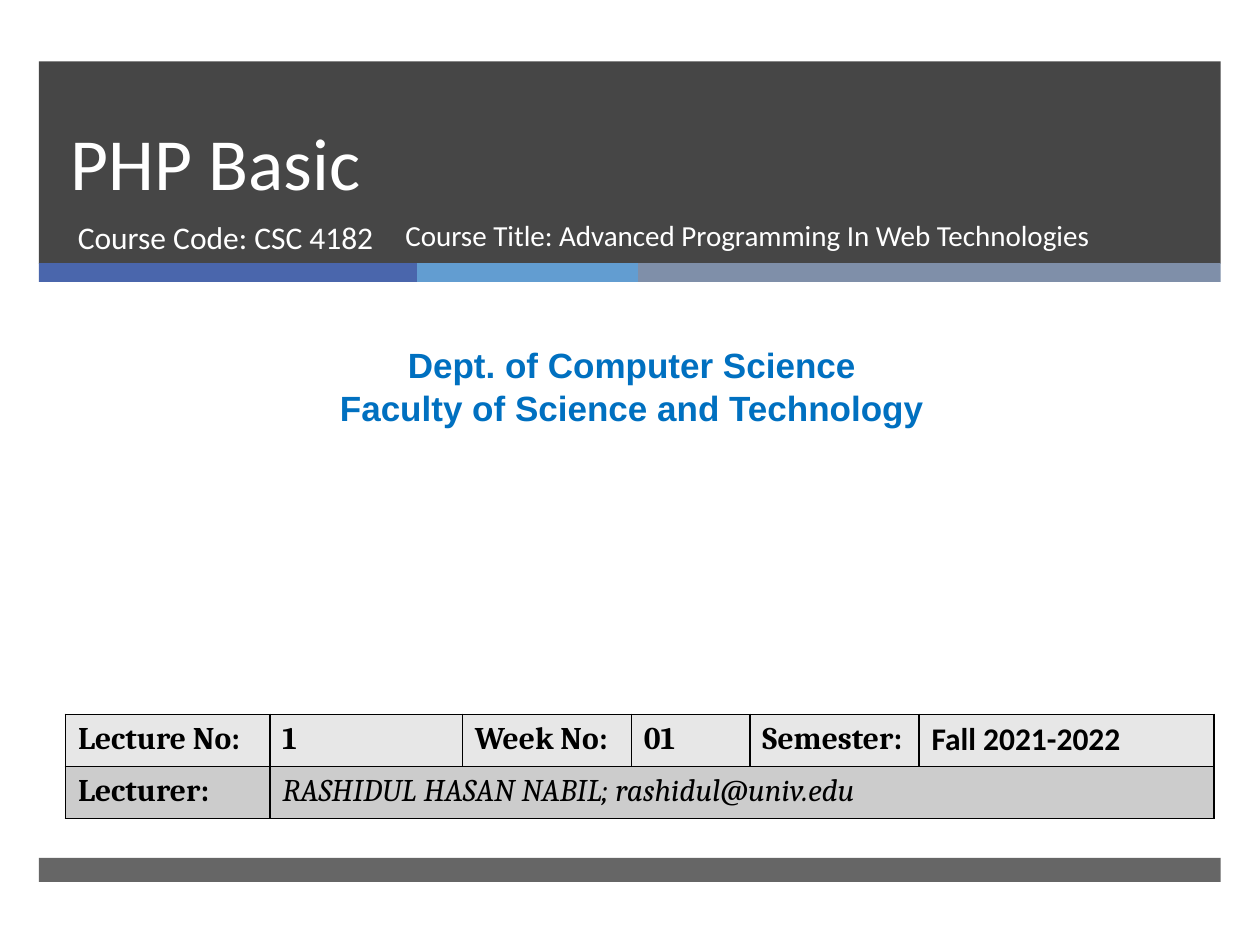
from itertools import product

from pptx import Presentation
from pptx.dml.color import RGBColor
from pptx.enum.shapes import MSO_SHAPE as Shape
from pptx.enum.text import MSO_ANCHOR as Anchor, PP_ALIGN as Align
from pptx.oxml import parse_xml
from pptx.oxml.ns import nsdecls, qn
from pptx.util import Pt

WHITE = RGBColor(0xFF, 0xFF, 0xFF)
BLACK = RGBColor(0x00, 0x00, 0x00)
CHARCOAL = RGBColor(0x26, 0x26, 0x26)
INDIGO = RGBColor(0x4A, 0x66, 0xAC)
SKY = RGBColor(0x62, 0x9D, 0xD1)
SLATE = RGBColor(0x7F, 0x8F, 0xA9)
DEPT_BLUE = RGBColor(0x00, 0x70, 0xC0)
LIGHT_GREY = RGBColor(0xE7, 0xE7, 0xE7)
MID_GREY = RGBColor(0xCC, 0xCC, 0xCC)


def set_font(font, name, size, color, bold=False, italic=False):
    """Set the typeface, size, colour and style of a font."""
    font.name, font.size, font.bold, font.italic = name, Pt(size), bold, italic
    font.color.rgb = color


def add_bar(slide, left, top, width, height, color, opacity=100):
    """Add a borderless rectangle with the given opacity in percent."""
    bar = slide.shapes.add_shape(Shape.RECTANGLE, Pt(left), Pt(top), Pt(width), Pt(height))
    bar.shadow.inherit = False
    bar.line.fill.background()
    bar.fill.solid()
    bar.fill.fore_color.rgb = color
    if opacity < 100:
        tint = bar.fill._xPr.find(qn("a:solidFill"))[0]
        tint.append(parse_xml(f'<a:alpha {nsdecls("a")} val="{opacity * 1000}"/>'))


def add_text(slide, left, top, width, height, lines, font, align=Align.LEFT,
             anchor=Anchor.TOP, spacing=None):
    """Add a wrapped text box with one paragraph per line."""
    frame = slide.shapes.add_textbox(Pt(left), Pt(top), Pt(width), Pt(height)).text_frame
    frame.word_wrap = True
    frame.vertical_anchor = anchor
    frame.text = "\n".join(lines)
    for paragraph in frame.paragraphs:
        paragraph.alignment = align
        if spacing:
            paragraph.line_spacing = Pt(spacing)
        set_font(paragraph.font, *font)


def add_header(slide, left, top, width):
    """Add the dark banner with its titles and the three-colour stripe."""
    add_bar(slide, left, top, width, 115.5, CHARCOAL, 85)
    stripe_left = left
    for share, color in ((0.32, INDIGO), (0.187, SKY), (0.493, SLATE)):
        add_bar(slide, stripe_left, top + 115.2, share * width, 10.8, color)
        stripe_left += share * width
    add_text(slide, left + 10.8, top, 615, 85.7, ["PHP Basic"],
             ("Calibri", 42, WHITE), anchor=Anchor.BOTTOM, spacing=46)
    add_text(slide, left + 15.1, top + 85.7, 219.6, 38, ["Course Code: CSC 4182"],
             ("Calibri", 18, WHITE))
    add_text(slide, left + 202.3, top + 85.7, 427.7, 38,
             ["Course Title: Advanced Programming In Web Technologies"],
             ("Calibri", 16.6, WHITE))


def add_borders(cell):
    """Draw a thin black line on all four sides of a cell."""
    properties = cell._tc.get_or_add_tcPr()
    for index, side in enumerate(("lnL", "lnR", "lnT", "lnB")):
        properties.insert(index, parse_xml(
            f'<a:{side} {nsdecls("a")} w="{Pt(1)}"><a:solidFill>'
            f'<a:srgbClr val="{BLACK}"/></a:solidFill></a:{side}>'))


def add_lecture_table(slide, left, top, widths, row_height):
    """Add the table of lecture, week, semester and lecturer."""
    rows = (("Lecture No:", "1", "Week No:", "01", "Semester:", "Fall 2021-2022"),
            ("Lecturer:", "RASHIDUL HASAN NABIL; rashidul@univ.edu"))
    table = slide.shapes.add_table(2, len(widths), Pt(left), Pt(top), Pt(sum(widths)),
                                   Pt(2 * row_height)).table
    for column, width in zip(table.columns, widths):
        column.width = Pt(width)
    for row in table.rows:
        row.height = Pt(row_height)
    table.cell(1, 1).merge(table.cell(1, len(widths) - 1))
    for r, c in product(range(2), range(len(widths))):
        cell = table.cell(r, c)
        cell.fill.solid()
        cell.fill.fore_color.rgb = (LIGHT_GREY, MID_GREY)[r]
        add_borders(cell)
        if c < len(rows[r]):
            cell.text = rows[r][c]
            is_lecturer = (r, c) == (1, 1)
            typeface = "Calibri" if (r, c) == (0, 5) else "Cambria"
            set_font(cell.text_frame.paragraphs[0].font, typeface, 18, BLACK,
                     not is_lecturer, is_lecturer)


def build_title_slide(presentation):
    """Build the course title slide."""
    slide = presentation.slides.add_slide(presentation.slide_layouts[6])
    add_header(slide, 22.3, 35.1, 675.2)
    add_bar(slide, 22.3, 490.2, 675.2, 13.7, CHARCOAL, 70)
    add_text(slide, 5.8, 193, 710.6, 55.7,
             ["Dept. of Computer Science", "Faculty of Science and Technology"],
             ("Arial", 20, DEPT_BLUE, True), align=Align.CENTER)
    add_lecture_table(slide, 37.4, 408.2, (116.8, 110, 96.6, 67.8, 96.6, 168.6), 29.8)


deck = Presentation()
deck.slide_width, deck.slide_height = Pt(720), Pt(540)
build_title_slide(deck)
deck.save("out.pptx")
